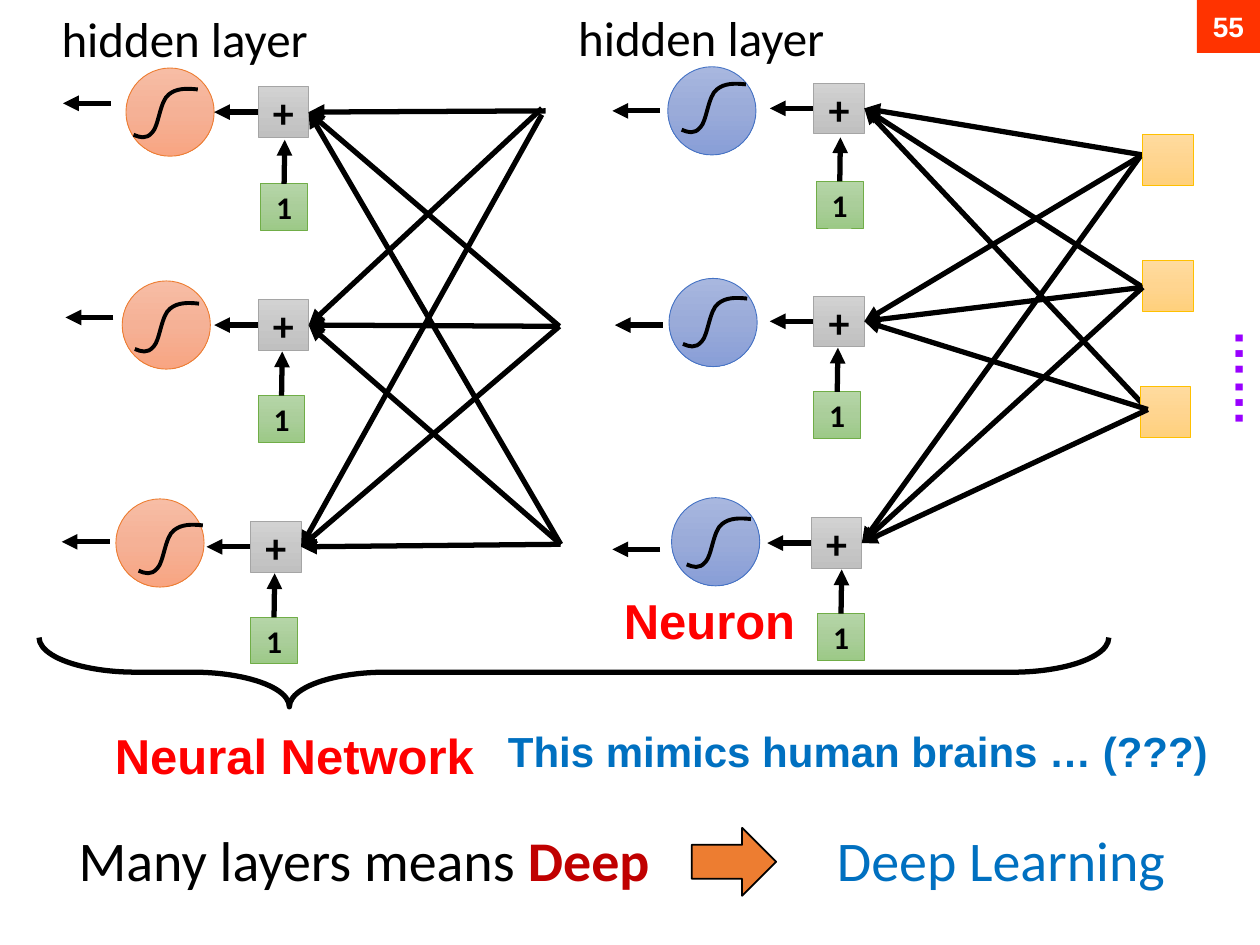
from copy import deepcopy
from typing import NamedTuple

from lxml.etree import SubElement
from pptx import Presentation
from pptx.dml.color import RGBColor
from pptx.enum.shapes import MSO_CONNECTOR, MSO_SHAPE
from pptx.enum.text import MSO_ANCHOR, MSO_AUTO_SIZE, PP_ALIGN
from pptx.oxml.ns import qn
from pptx.util import Inches, Pt

COLORS = {
    "black": "000000", "white": "FFFFFF", "red": "FF0000", "dark_red": "C00000",
    "blue": "0070C0", "purple": "9900FF", "orange": "ED7D31", "badge": "FF3300",
}
GRADIENTS = {
    "blue": ("A8B7DF", "9AABD9", "889ED7", "4472C4"),
    "orange": ("F7BDA5", "F5B196", "F8A582", "ED7D31"),
    "gray": ("D2D2D2", "C8C8C8", "C0C0C0", "A5A5A5"),
    "green": ("B5D5A7", "AACE9A", "9CC987", "70AD47"),
    "yellow": ("FFDB9E", "FFD590", "FFD07C", "FFC000"),
}
SIGMOID = [
    (0.51, 0.01), (0.42, 0), (0.34, 0), (0.28, 0.05), (0.21, 0.1),
    (0.2, 0.3), (0.15, 0.35), (0.1, 0.41), (0.05, 0.39), (0, 0.37),
]


class Neuron(NamedTuple):
    """Offsets of one neuron's parts inside its layer box."""

    circle: tuple
    total: tuple
    bias: tuple
    output: tuple
    curve: tuple


FIRST_LAYER = [
    Neuron((0.81, 0.52), (1.97, 0.65), (1.99, 1.43), (0.37, 0.87), (0.92, 0.65)),
    Neuron((0.82, 2.2), (1.97, 2.34), (1.97, 3.1), (0.39, 2.57), (0.93, 2.35)),
    Neuron((0.84, 3.94), (1.95, 4.1), (2, 4.86), (0.37, 4.35), (0.96, 4.1)),
]
SECOND_LAYER = [
    Neuron((0.61, 0.52), (1.66, 0.67), (1.68, 1.44), (0.11, 0.8), (0.67, 0.68)),
    Neuron((0.58, 2.21), (1.66, 2.36), (1.66, 3.12), (0.13, 2.5), (0.68, 2.38)),
    Neuron((0.53, 3.94), (1.6, 4.12), (1.6, 4.88), (0.1, 4.28), (0.71, 4.14)),
]


def rgb(name):
    """Return the named colour."""
    return RGBColor.from_string(COLORS[name])


def format_run(run, size, color, font="Calibri", bold=False):
    """Set the font of a run."""
    run.font.name, run.font.size, run.font.bold = font, Pt(size), bold
    run.font.color.rgb = rgb(color)


def add_text(slide, box, text, size, color, font="Calibri", bold=False, align=PP_ALIGN.CENTER):
    """Add a text box with one formatted paragraph."""
    shape = slide.shapes.add_textbox(*map(Inches, box))
    frame = shape.text_frame
    frame.word_wrap, frame.auto_size = True, MSO_AUTO_SIZE.SHAPE_TO_FIT_TEXT
    frame.text = text
    frame.paragraphs[0].alignment = align
    format_run(frame.paragraphs[0].runs[0], size, color, font, bold)
    return shape


def add_preset(slide, kind, box):
    """Add a preset shape without a shadow."""
    shape = slide.shapes.add_shape(kind, *map(Inches, box))
    shape.shadow.inherit = False
    return shape


def set_label(shape, text, size, color, font="Calibri"):
    """Write a bold centred label into a shape."""
    frame = shape.text_frame
    frame.text, frame.vertical_anchor = text, MSO_ANCHOR.MIDDLE
    frame.paragraphs[0].alignment = PP_ALIGN.CENTER
    format_run(frame.paragraphs[0].runs[0], size, color, font, True)


def add_node(slide, kind, position, size, palette):
    """Add a square or round node with a vertical gradient."""
    shape = add_preset(slide, kind, (*position, size, size))
    shape.fill.gradient()
    stops = shape._element.spPr.find(".//" + qn("a:gsLst"))
    stops.insert(1, deepcopy(stops[0]))
    stops[1].set("pos", "50000")
    shape.fill.gradient_angle = 270
    *shades, outline = GRADIENTS[palette]
    for stop, shade in zip(shape.fill.gradient_stops, shades):
        stop.color.rgb = RGBColor.from_string(shade)
    shape.line.color.rgb = RGBColor.from_string(outline)
    shape.line.width = Pt(0.5)
    return shape


def add_arrow(slide, start, end):
    """Add a thick black arrow."""
    arrow = slide.shapes.add_connector(MSO_CONNECTOR.STRAIGHT, *map(Inches, (*start, *end)))
    arrow.line.color.rgb, arrow.line.width = rgb("black"), Pt(3)
    SubElement(arrow.line._get_or_add_ln(), qn("a:tailEnd"), type="triangle")
    SubElement(arrow._element.spPr, qn("a:effectLst"))
    return arrow


def add_sigmoid(slide, left, top):
    """Draw the S curve as three cubic Bezier pieces."""
    start, *points = [(Inches(left + x), Inches(top + y)) for x, y in SIGMOID]
    builder = slide.shapes.build_freeform(*start)
    builder.add_line_segments(points, close=False)
    curve = builder.convert_to_shape()
    outline = curve._element.spPr.find(".//" + qn("a:pathLst"))[0]
    segments = outline.findall(qn("a:lnTo"))
    for first in range(0, len(segments), 3):
        piece = SubElement(outline, qn("a:cubicBezTo"))
        for segment in segments[first:first + 3]:
            piece.append(segment[0])
            outline.remove(segment)
    curve.shadow.inherit = False
    curve.fill.background()
    curve.line.color.rgb, curve.line.width = rgb("black"), Pt(2.25)


def add_layer(slide, left, top, neurons, palette):
    """Draw a titled hidden layer and return its sum nodes."""
    add_text(slide, (left, top, 2.6, 0.57), "hidden layer", 28, "black", align=PP_ALIGN.LEFT)
    totals = []
    for neuron in neurons:
        circle, (x, y), bias_at, output, curve = (
            (left + across, top + down) for across, down in neuron
        )
        add_node(slide, MSO_SHAPE.OVAL, circle, 0.7, palette)
        add_arrow(slide, (x + 0.28, y + 0.2), (x - 0.35, y + 0.2))
        total = add_node(slide, MSO_SHAPE.RECTANGLE, (x, y), 0.4, "gray")
        set_label(total, "+", 24, "black")
        totals.append(total)
        bias = add_node(slide, MSO_SHAPE.RECTANGLE, bias_at, 0.37, "green")
        set_label(bias, "1", 18, "black")
        tip = (bias_at[0] + 0.19, bias_at[1] - 0.35)
        add_arrow(slide, bias_at, tip).begin_connect(bias, 0)
        add_arrow(slide, (output[0] + 0.38, output[1]), output)
        add_sigmoid(slide, *curve)
    return totals


def add_links(slide, starts, total):
    """Join every start point to one sum node."""
    for start in starts:
        add_arrow(slide, start, start).end_connect(total, 3)


def add_inputs(slide, left, top, totals):
    """Draw the input squares, their links and the dots."""
    lower_starts = [(left + 0.02, top + 1.21), (left + 0.06, top + 2.18)]
    add_links(slide, [(left + 0.08, top + 0.17), *lower_starts], totals[0])
    for x, y in ((0.02, 0), (0.02, 1), (0, 2)):
        add_node(slide, MSO_SHAPE.RECTANGLE, (left + x, top + y), 0.4, "yellow")
    for total in totals[1:]:
        add_links(slide, [(left, top + 0.17), *lower_starts], total)
    dots = add_text(slide, (left + 0.17, top + 1.65, 0.98, 0.57), "……", 28, "purple", "Arial", True)
    dots.rotation = 270


def add_second_links(slide, left, top, totals):
    """Draw the links between the two hidden layers."""
    for total, (x, y) in zip(totals, ((0.03, 0.02), (0, 0), (0, 0.05))):
        starts = [(left + x, top + y), (left + 0.14, top + 1.73), (left + 0.15, top + 3.46)]
        add_links(slide, starts, total)


def add_summary(slide, left, top):
    """Draw the brace and the statements below the network."""
    brace = add_preset(slide, MSO_SHAPE.RIGHT_BRACE, (left + 4.13, top - 3.97, 0.55, 8.49))
    brace.rotation = 90
    brace.adjustments[0], brace.adjustments[1] = 1.397, 0.766
    brace.fill.background()
    brace.line.color.rgb, brace.line.width = rgb("black"), Pt(3)
    add_text(slide, (left + 4.5, top - 0.42, 2.07, 0.57), "Neuron ", 28, "red", "Arial", True)
    add_text(slide, (left + 0.04, top + 0.65, 4.4, 0.57), "Neural Network ", 28, "red", "Arial", True)
    add_text(slide, (left + 3.23, top + 0.65, 6.86, 0.5), "This mimics human brains … (???)",
             24, "blue", "Arial", True)
    claim = add_text(slide, (left, top + 1.44, 5.48, 0.64), "Many layers means ", 32, "black")
    deep = claim.text_frame.paragraphs[0].add_run()
    deep.text = "Deep"
    format_run(deep, 32, "dark_red", bold=True)
    arrow = add_preset(slide, MSO_SHAPE.RIGHT_ARROW, (left + 5.34, top + 1.51, 0.67, 0.54))
    arrow.fill.solid()
    arrow.fill.fore_color.rgb = rgb("orange")
    arrow.line.color.rgb, arrow.line.width = rgb("black"), Pt(1)
    add_text(slide, (left + 6.17, top + 1.44, 3.25, 0.64), "Deep Learning", 32, "blue")


def add_page_number(slide, box):
    """Draw the page number badge."""
    badge = add_preset(slide, MSO_SHAPE.RECTANGLE, box)
    badge.fill.solid()
    badge.fill.fore_color.rgb = rgb("badge")
    badge.line.fill.background()
    set_label(badge, "55", 16, "white", "Arial")


def main():
    """Build and save the slide."""
    presentation = Presentation()
    presentation.slide_width, presentation.slide_height = Inches(10), Inches(7.5)
    slide = presentation.slides.add_slide(presentation.slide_layouts[6])
    add_inputs(slide, 9.05, 1.07, add_layer(slide, 4.49, 0.01, FIRST_LAYER, "blue"))
    add_second_links(slide, 4.3, 0.86, add_layer(slide, 0.39, 0.02, SECOND_LAYER, "orange"))
    add_summary(slide, 0.15, 5.06)
    add_page_number(slide, (9.5, 0, 0.5, 0.42))
    presentation.save("out.pptx")


if __name__ == "__main__":
    main()
